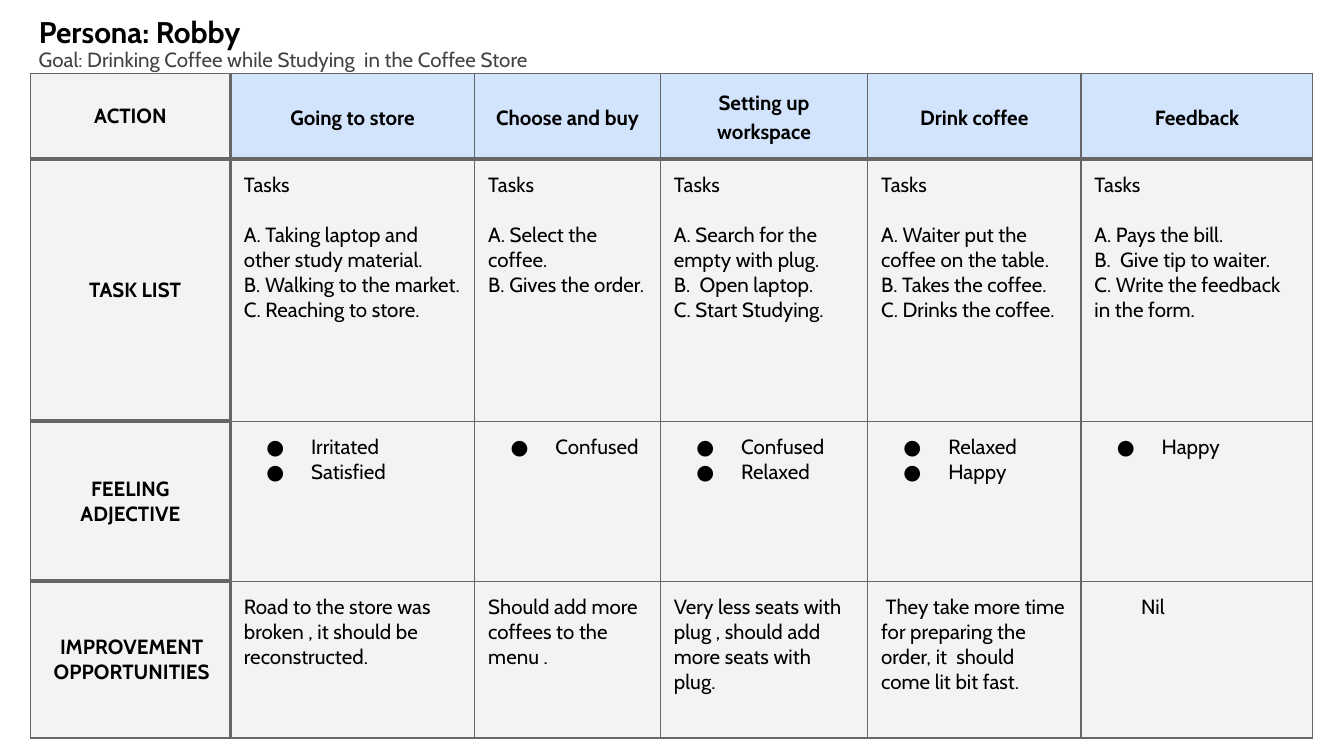
from lxml import etree
from pptx import Presentation
from pptx.dml.color import RGBColor
from pptx.enum.text import MSO_ANCHOR as Anchor, PP_ALIGN as Align
from pptx.oxml.ns import qn
from pptx.util import Pt

INSET = Pt(7.2)
THIN, THICK = 0.75, 2.25


def color(value):
    return RGBColor.from_string(value)


def write(frame, text, size=11, fill="000000", bold=False, align=Align.LEFT,
          spacing=None, after=0, heading_after=None, left=0, first=0, bullet=None):
    """Fill a text frame, one paragraph for each line of the text."""
    frame.word_wrap = True
    frame.margin_left = frame.margin_right = INSET
    frame.margin_top = frame.margin_bottom = INSET
    for index, line in enumerate(text.split("\n")):
        para = frame.paragraphs[0] if index == 0 else frame.add_paragraph()
        para.alignment = align
        para.space_before = Pt(0)
        para.space_after = Pt(after)
        if index == 0 and heading_after:
            para.space_after = Pt(heading_after)
        if spacing:
            para.line_spacing = spacing
        props = para._p.get_or_add_pPr()
        props.set("marL", str(Pt(left)))
        props.set("indent", str(Pt(first)))
        if bullet:
            shade = etree.SubElement(props, qn("a:buClr"))
            etree.SubElement(shade, qn("a:srgbClr"), val=fill)
            etree.SubElement(props, qn("a:buFont"), typeface="Cabin")
            etree.SubElement(props, qn("a:buChar"), char=bullet)
        else:
            etree.SubElement(props, qn("a:buNone"))
        span = para.add_run()
        span.text = line
        span.font.name = "Cabin"
        span.font.size = Pt(size)
        span.font.bold = bold
        span.font.color.rgb = color(fill)


def add_borders(cell, widths):
    props = cell._tc.get_or_add_tcPr()
    for side, width in widths.items():
        line = etree.SubElement(props, qn("a:ln" + side), w=str(Pt(width)))
        solid = etree.SubElement(line, qn("a:solidFill"))
        etree.SubElement(solid, qn("a:srgbClr"), val="666666")


deck = Presentation()
deck.slide_width, deck.slide_height = Pt(720), Pt(405)
page = deck.slides.add_slide(deck.slide_layouts[6])

# Persona and goal
title_box = page.shapes.add_textbox(Pt(13.7), Pt(0), Pt(140), Pt(31.7))
write(title_box.text_frame, "Persona: Robby", size=16, bold=True)
goal_box = page.shapes.add_textbox(Pt(13.7), Pt(18.3), Pt(668), Pt(20.8))
write(goal_box.text_frame, "Goal: Drinking Coffee while Studying  in the Coffee Store",
      fill="434343", after=3)

# Journey map contents
rows = [
    ["ACTION", "Going to store", "Choose and buy", "Setting up workspace",
     "Drink coffee", "Feedback"],
    ["TASK LIST",
     "Tasks\nA. Taking laptop and other study material.\n"
     "B. Walking to the market.\nC. Reaching to store.",
     "Tasks\nA. Select the coffee.\nB. Gives the order.",
     "Tasks\nA. Search for the empty with plug.\nB.  Open laptop.\nC. Start Studying.",
     "Tasks\nA. Waiter put the coffee on the table.\n"
     "B. Takes the coffee.\nC. Drinks the coffee.",
     "Tasks\nA. Pays the bill.\nB.  Give tip to waiter.\n"
     "C. Write the feedback in the form."],
    ["FEELING ADJECTIVE", "Irritated\nSatisfied", "Confused", "Confused\nRelaxed",
     "Relaxed\nHappy", "Happy"],
    ["IMPROVEMENT OPPORTUNITIES",
     "Road to the store was broken , it should be reconstructed.",
     "Should add more coffees to the menu .",
     "Very less seats with plug , should add more seats with plug.",
     " They take more time for preparing the order, it  should come lit bit fast.",
     "Nil"],
]
column_widths = [107.2, 130.9, 99.5, 111, 114.3, 124.2]
row_heights = [46, 140.5, 85.7, 84]

# Format of each row's body cells
row_formats = [
    dict(bold=True, align=Align.CENTER, spacing=1.15),
    dict(heading_after=13.4),
    dict(left=36, first=-24, bullet="●"),
    dict(),
]

# Journey map table
frame = page.shapes.add_table(len(rows), len(column_widths), Pt(16.3), Pt(39.2),
                              Pt(sum(column_widths)), Pt(sum(row_heights)))
table = frame.table
table.first_row = table.horz_banding = False
for column, width in zip(table.columns, column_widths):
    column.width = Pt(width)
for row, height in zip(table.rows, row_heights):
    row.height = Pt(height)

last_row = len(rows) - 1
for r, texts in enumerate(rows):
    for c, text in enumerate(texts):
        cell = table.cell(r, c)
        is_label = c == 0
        style = dict(row_formats[r])
        if is_label:
            style = dict(bold=True, align=Align.CENTER)
        if text == "TASK LIST":
            style.update(left=13.7, first=-8.6)
        if text == "Nil":
            style.update(left=25)
        write(cell.text_frame, text, **style)
        cell.margin_left = Pt(8.6) if is_label and r == last_row else INSET
        cell.margin_right = cell.margin_top = cell.margin_bottom = INSET
        cell.vertical_anchor = Anchor.MIDDLE if is_label or r == 0 else Anchor.TOP

        # Thick lines set off the header row and the label column
        thick = {
            "L": c == 1,
            "R": is_label,
            "T": r == 1 or (is_label and r > 0),
            "B": r == 0 or (is_label and r < last_row),
        }
        add_borders(cell, {side: THICK if on else THIN for side, on in thick.items()})
        cell.fill.solid()
        cell.fill.fore_color.rgb = color("D2E3FC" if r == 0 and c > 0 else "F3F3F3")

deck.save("out.pptx")
